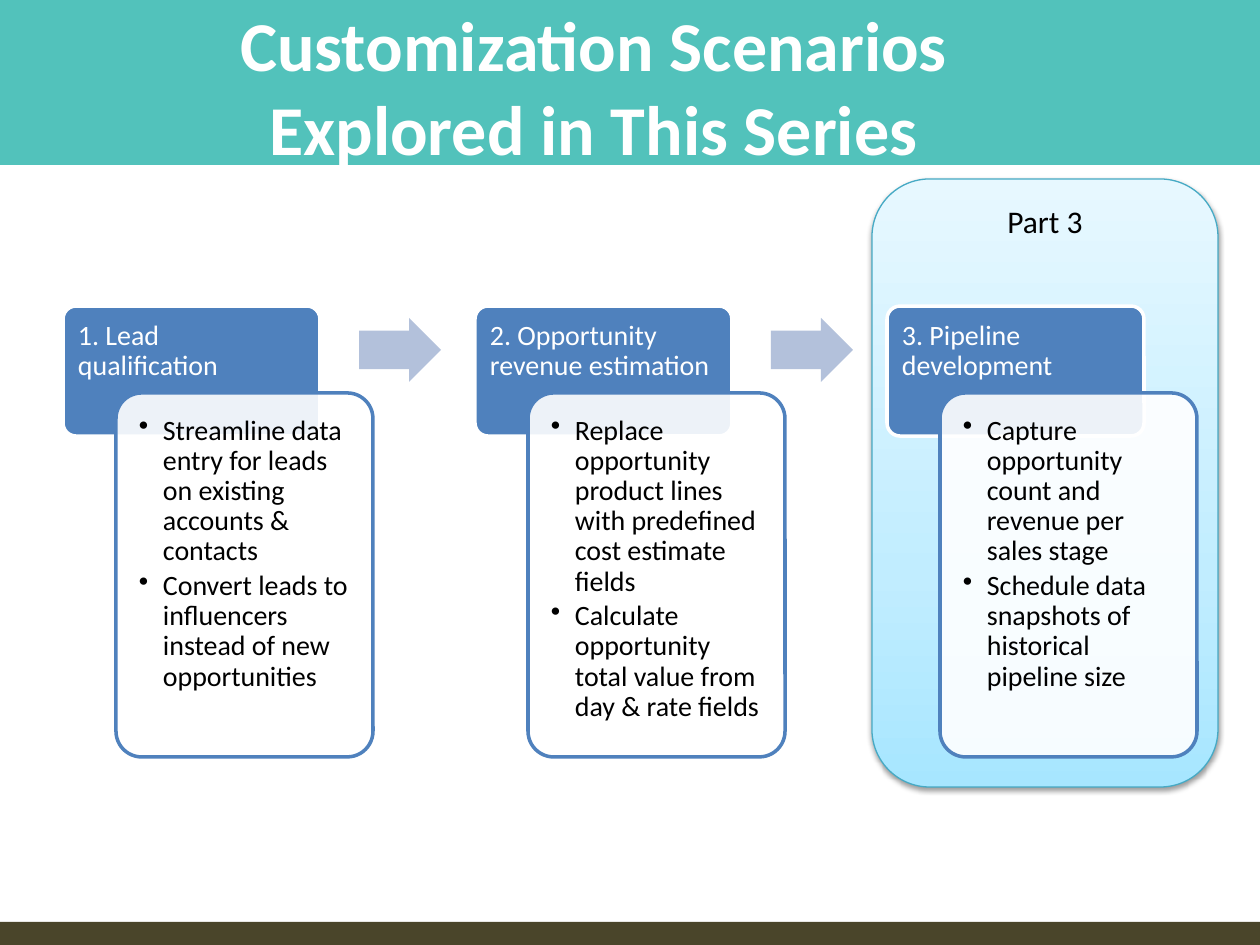
from dataclasses import dataclass

from lxml import etree
from pptx import Presentation
from pptx.dml.color import RGBColor
from pptx.enum.shapes import MSO_SHAPE
from pptx.enum.text import MSO_ANCHOR, PP_ALIGN
from pptx.oxml import parse_xml
from pptx.oxml.ns import nsdecls, qn
from pptx.util import Emu, Pt

RECTANGLE = MSO_SHAPE.RECTANGLE
ROUNDED = MSO_SHAPE.ROUNDED_RECTANGLE
RIGHT_ARROW = MSO_SHAPE.RIGHT_ARROW
TOP, MIDDLE = MSO_ANCHOR.TOP, MSO_ANCHOR.MIDDLE
LEFT, CENTER = PP_ALIGN.LEFT, PP_ALIGN.CENTER

EMU_PER_PX = 914400 / 126


@dataclass(frozen=True)
class Theme:
    font: str = "Calibri"
    title_size: int = 40
    panel_size: int = 18
    body_size: int = 16
    band: str = "52C2BB"
    footer: str = "4A452A"
    white: str = "FFFFFF"
    black: str = "000000"
    card: str = "4F81BD"
    arrow: str = "B3C1DB"
    panel_line: str = "46AAC5"
    panel_stops: tuple = ((0, "A7E6FF"), (35, "C1EDFF"), (100, "E7F8FF"))


THEME = Theme()

SCENARIOS = [
    ("1. Lead qualification",
     ["Streamline data entry for leads on existing accounts & contacts",
      "Convert leads to influencers instead of new opportunities"]),
    ("2. Opportunity revenue estimation",
     ["Replace opportunity product lines with predefined cost estimate fields",
      "Calculate opportunity total value from day & rate fields"]),
    ("3. Pipeline development",
     ["Capture opportunity count and revenue per sales stage",
      "Schedule data snapshots of historical pipeline size"]),
]


def px(length):
    return Emu(round(length * EMU_PER_PX))


def add_shape(slide, kind, box, fill, line=None, line_width=0, adjustments=()):
    shape = slide.shapes.add_shape(kind, *map(px, box))
    shape.shadow.inherit = False
    shape.fill.solid()
    shape.fill.fore_color.rgb = RGBColor.from_string(fill)
    if line:
        shape.line.color.rgb = RGBColor.from_string(line)
        shape.line.width = Pt(line_width)
    else:
        shape.line.fill.background()
    for index, value in enumerate(adjustments):
        shape.adjustments[index] = value
    return shape


def write_text(shape, lines, size, color, bold=False, align=LEFT, anchor=TOP,
               insets=None, spacing=None, after=0, bullet_indent=0):
    frame = shape.text_frame
    frame.word_wrap = True
    frame.vertical_anchor = anchor
    if insets:
        (frame.margin_left, frame.margin_top,
         frame.margin_right, frame.margin_bottom) = map(px, insets)
    for index, line in enumerate(lines):
        paragraph = frame.add_paragraph() if index else frame.paragraphs[0]
        paragraph.alignment = align
        paragraph.line_spacing = spacing
        paragraph.space_after = Pt(after)
        run = paragraph.add_run()
        run.text = line
        run.font.name = THEME.font
        run.font.size = Pt(size)
        run.font.bold = bold
        run.font.color.rgb = RGBColor.from_string(color)
        if bullet_indent:
            properties = paragraph._p.get_or_add_pPr()
            properties.set("marL", str(px(bullet_indent)))
            properties.set("indent", str(-px(bullet_indent)))
            etree.SubElement(properties, qn("a:buChar")).set("char", "•")


def add_text(slide, box, lines, **text_format):
    write_text(slide.shapes.add_textbox(*map(px, box)), lines, **text_format)


def set_opacity(shape, percent):
    color = shape.fill._xPr.find(qn("a:solidFill"))[0]
    etree.SubElement(color, qn("a:alpha")).set("val", str(percent * 1000))


def style_panel(shape):
    """Give the panel an upward gradient and a soft shadow below."""
    properties = shape._element.spPr
    stops = "".join(
        f'<a:gs pos="{position * 1000}"><a:srgbClr val="{color}"/></a:gs>'
        for position, color in THEME.panel_stops)
    gradient = parse_xml(
        f'<a:gradFill {nsdecls("a")} rotWithShape="1"><a:gsLst>{stops}</a:gsLst>'
        '<a:lin ang="16200000" scaled="0"/></a:gradFill>')
    properties.replace(properties.find(qn("a:solidFill")), gradient)
    shadow = parse_xml(
        f'<a:outerShdw {nsdecls("a")} blurRad="{Pt(3.1)}" dist="{Pt(1.6)}" '
        f'dir="5400000" rotWithShape="0"><a:srgbClr val="{THEME.black}">'
        '<a:alpha val="38000"/></a:srgbClr></a:outerShdw>')
    properties.find(qn("a:effectLst")).append(shadow)


def add_bands(slide, width):
    add_shape(slide, RECTANGLE, (0, 0, width, 165), THEME.band)
    add_shape(slide, RECTANGLE, (0, 922, width, 26), THEME.footer)


def add_title(slide, box):
    add_text(slide, box, ["Customization Scenarios Explored in This Series"],
             size=THEME.title_size, color=THEME.white, bold=True,
             align=CENTER, anchor=MIDDLE)


def add_panel(slide, box):
    panel = add_shape(slide, ROUNDED, box, THEME.white, THEME.panel_line, 0.75)
    style_panel(panel)
    write_text(panel, ["Part 3"], size=THEME.panel_size, color=THEME.black,
               align=CENTER)


def add_scenario(slide, box, heading, points):
    left, top, width, height = box
    label_height, body_shift, padding = 87, 53, 8
    body_left, body_top = left + body_shift, top + label_height
    body_width, body_height = width - body_shift, height - label_height

    # Heading card
    add_shape(slide, ROUNDED, (left, top, body_width, 130), THEME.card,
              THEME.white, 2, [0.1])
    add_text(slide, (left, top, body_width, label_height), [heading],
             size=THEME.body_size, color=THEME.white,
             insets=(15, 15, 15, 9), spacing=0.9, after=5.6)

    # Overlapping detail card
    body = add_shape(slide, ROUNDED, (body_left, body_top, body_width, body_height),
                     THEME.white, THEME.card, 2, [0.1])
    set_opacity(body, 90)
    add_text(slide, (body_left + padding, body_top + padding,
                     body_width - 2 * padding, body_height - 2 * padding), points,
             size=THEME.body_size, color=THEME.black, insets=(15, 15, 15, 15),
             spacing=0.9, after=2.4, bullet_indent=24)


def add_process(slide, box):
    left, top, width, height = box
    card_width, arrow_offset = 310, 296
    step = (width - card_width) // (len(SCENARIOS) - 1)
    for index, (heading, points) in enumerate(SCENARIOS):
        card_left = left + index * step
        if index:
            add_shape(slide, RIGHT_ARROW,
                      (card_left - step + arrow_offset, top + 12, 82, 64),
                      THEME.arrow, adjustments=[0.6, 0.5])
        add_scenario(slide, (card_left, top, card_width, height), heading, points)


def main():
    presentation = Presentation()
    presentation.slide_width, presentation.slide_height = px(1260), px(945)
    slide = presentation.slides.add_slide(presentation.slide_layouts[6])
    add_bands(slide, 1260)
    add_panel(slide, (872, 179, 346, 608))
    add_title(slide, (181, 6, 825, 158))
    add_process(slide, (63, 306, 1134, 451))
    presentation.save("out.pptx")


if __name__ == "__main__":
    main()
